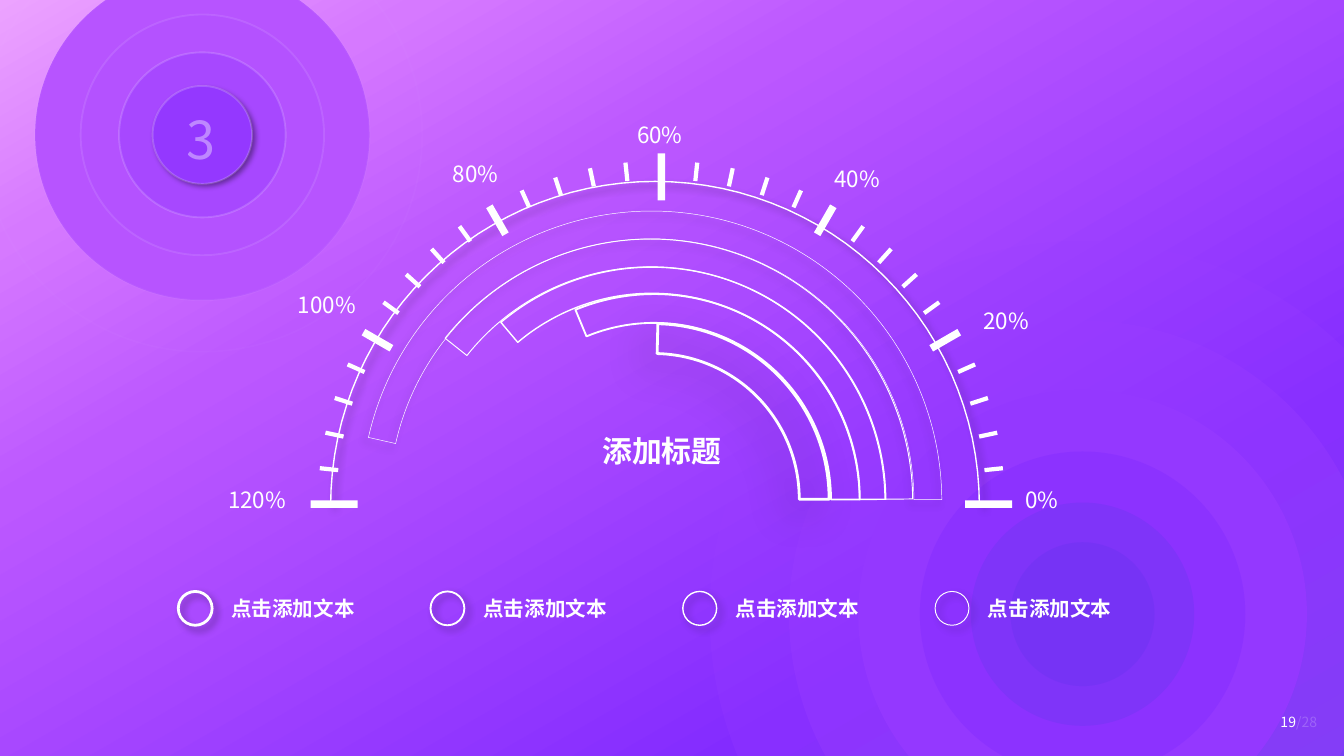
import math
from dataclasses import dataclass

import pptx
import pptx.dml.color
import pptx.enum.shapes
import pptx.enum.text
import pptx.oxml
import pptx.oxml.ns
import pptx.util
from lxml import etree

Cm = pptx.util.Cm
qn = pptx.oxml.ns.qn
PRESET = pptx.enum.shapes.MSO_SHAPE
ALIGN = pptx.enum.text.PP_ALIGN


@dataclass(frozen=True)
class Theme:
    font: str = "Noto Sans CJK SC"
    ink: str = "FFFFFF"
    shade: str = "000000"
    backdrop: tuple = ((0, "ECA3FF"), (16, "D679FF"), (33, "BC58FF"),
                       (77, "832BFF"), (100, "6D3FEF"))
    badge: tuple = ("B754FF", "B452FF", "A748FF", "9438FF")
    glow: tuple = (("9C3FFF", 20), ("993CFF", 40), ("9438FF", 100),
                   ("872EFF", 60), ("7736F6", 60), ("6933F1", 40))
    number_size: float = 28
    title_size: float = 16
    scale_size: float = 12
    legend_size: float = 11
    page_size: float = 7.5


THEME = Theme()
SOFT_SHADOW = (40, 4, 3, 45)  # opacity %, blur pt, distance pt, direction


@dataclass(frozen=True)
class Box:
    """A rectangle in centimetres."""
    left: float
    top: float
    width: float
    height: float

    def inner(self, x, y, width, height):
        return Box(self.left + x, self.top + y, width, height)

    def centred(self, width, height):
        return self.inner((self.width - width) / 2, (self.height - height) / 2, width, height)

    def lengths(self):
        return Cm(self.left), Cm(self.top), Cm(self.width), Cm(self.height)


def rgb(code):
    return pptx.dml.color.RGBColor.from_string(code)


def fade(element, opacity):
    """Make every colour inside the element partly transparent."""
    if opacity < 100:
        for colour in element.iter(qn("a:srgbClr")):
            etree.SubElement(colour, qn("a:alpha"), val=str(opacity * 1000))


def paint(shape, fill=None, fill_opacity=100, line=None, line_opacity=100, shadow=None):
    properties = shape.element.spPr
    shape.shadow.inherit = False
    if fill:
        shape.fill.solid()
        shape.fill.fore_color.rgb = rgb(fill)
        fade(properties.find(qn("a:solidFill")), fill_opacity)
    else:
        shape.fill.background()
    if line:
        shape.line.color.rgb = rgb(THEME.ink)
        shape.line.width = pptx.util.Pt(line)
        fade(properties.find(qn("a:ln")), line_opacity)
    else:
        shape.line.fill.background()
    if shadow:
        opacity, blur, distance, direction = shadow
        outer = etree.SubElement(
            properties.find(qn("a:effectLst")), qn("a:outerShdw"),
            blurRad=str(pptx.util.Pt(blur)), dist=str(pptx.util.Pt(distance)),
            dir=str(direction * 60000), algn="ctr", rotWithShape="0")
        fade_colour = etree.SubElement(outer, qn("a:srgbClr"), val=THEME.shade)
        fade(fade_colour, opacity)


def add_preset(slide, preset, box, **look):
    shape = slide.shapes.add_shape(preset, *box.lengths())
    paint(shape, **look)
    return shape


def add_run(paragraph, words, size, bold=False, opacity=100):
    run = paragraph.add_run()
    run.text = words
    run.font.size = pptx.util.Pt(size)
    run.font.bold = bold
    run.font.color.rgb = rgb(THEME.ink)
    run.font.name = THEME.font
    properties = run._r.get_or_add_rPr()
    fade(properties, opacity)
    etree.SubElement(properties, qn("a:ea"), typeface=THEME.font)


def add_label(slide, box, wrap=False):
    """Add an empty text box and return its paragraph."""
    frame = slide.shapes.add_textbox(*box.lengths()).text_frame
    frame.word_wrap = wrap
    frame.auto_size = pptx.enum.text.MSO_AUTO_SIZE.SHAPE_TO_FIT_TEXT
    return frame.paragraphs[0]


def backdrop(slide, box):
    wash = add_preset(slide, PRESET.RECTANGLE, box, fill=THEME.backdrop[0][1])
    wash.fill.gradient()
    gradient = wash.element.spPr.find(qn("a:gradFill"))
    for child in list(gradient):
        gradient.remove(child)
    stops = etree.SubElement(gradient, qn("a:gsLst"))
    for position, colour in THEME.backdrop:
        stop = etree.SubElement(stops, qn("a:gs"), pos=str(position * 1000))
        etree.SubElement(stop, qn("a:srgbClr"), val=colour)
    etree.SubElement(gradient, qn("a:lin"), ang=str(60 * 60000), scaled="0")


def section_badge(slide, box, number):
    sizes = ((6.32, 6.25), (4.6, 4.55), (3.15, 3.12), (1.88, 1.85))
    shadows = (None, None, None, (40, 3, 2, 45))
    for size, colour, opacity, shadow in zip(sizes, THEME.badge, (4, 9, 16, 18), shadows):
        add_preset(slide, PRESET.OVAL, box.centred(*size), fill=colour,
                   line=1, line_opacity=opacity, shadow=shadow)
    add_preset(slide, PRESET.OVAL, box, line=1, line_opacity=2)
    add_run(add_label(slide, box.inner(3.61, 3.46, 0.58, 1.47), wrap=True),
            number, THEME.number_size, opacity=40)


def corner_glow(slide, box):
    for size, (colour, opacity) in zip((14.1, 11.1, 8.48, 6.15, 4.22, 2.72), THEME.glow):
        add_preset(slide, PRESET.OVAL, box.centred(size, size),
                   fill=colour, fill_opacity=opacity)


def legend(slide, box, entries):
    pitch = box.width / len(entries)
    for index, (words, weight) in enumerate(entries):
        x = index * pitch
        add_preset(slide, PRESET.OVAL, box.inner(x, 0.03, 0.64, 0.64),
                   line=weight, shadow=SOFT_SHADOW)
        add_run(add_label(slide, box.inner(x + 0.75, 0, 2.87, 0.74)),
                words, THEME.legend_size, bold=True)


def polar(box, centre, radius, degrees, sideways=0):
    """Point at an angle from the right, shifted square to the radius."""
    turn = math.radians(degrees)
    x = centre[0] + radius * math.cos(turn) - sideways * math.sin(turn)
    y = centre[1] - radius * math.sin(turn) - sideways * math.cos(turn)
    return Cm(box.left + x), Cm(box.top + y)


def dial_scale(slide, box):
    rim = [polar(box, (8.38, 7.56), 6.13, degrees) for degrees in range(180, -1, -3)]
    builder = slide.shapes.build_freeform(*rim[0])
    builder.add_line_segments(rim[1:], close=False)
    paint(builder.convert_to_shape(), line=0.75, shadow=SOFT_SHADOW)

    builder = None
    for tick in range(31):
        if tick % 15 == 0:
            inner, outer, half = 5.74, 6.63, 0.07
        elif tick % 5 == 0:
            inner, outer, half = 5.89, 6.5, 0.07
        else:
            inner, outer, half = 6.14, 6.49, 0.04
        corners = [polar(box, (8.5, 7.53), radius, tick * 6, side) for radius, side in
                   ((inner, -half), (outer, -half), (outer, half), (inner, half))]
        if builder is None:
            builder = slide.shapes.build_freeform(*corners[0])
        else:
            builder.move_to(*corners[0])
        builder.add_line_segments(corners[1:], close=True)
    paint(builder.convert_to_shape(), fill=THEME.ink)

    for words, x, y, width in (
            ("20%", 14.34, 3.69, 1.5), ("40%", 11.52, 1, 1.5), ("60%", 7.79, 0.16, 1.5),
            ("80%", 4.31, 0.9, 1.5), ("100%", 1.38, 3.38, 1.68),
            ("120%", 0.06, 7.07, 1.68), ("0%", 15.13, 7.07, 1.22)):
        add_run(add_label(slide, box.inner(x, y, width, 0.76)), words, THEME.scale_size)


def dial_arcs(slide, box):
    for x, y, size, start, end, thickness, weight, shadow in (
            (2.83, 1.99, 10.97, 192.7, 359.68, 0.048, 0.25, (35, 4, 3, 135)),
            (5.04, 4.12, 6.63, 271.37, 0.07, 0.085, 1.5, (35, 20, 10, 135)),
            (3.34, 2.52, 9.91, 218.44, 359.51, 0.053, 0.5, None),
            (3.9, 3.05, 8.84, 229.8, 359.58, 0.056, 0.75, None),
            (4.48, 3.56, 7.77, 247.47, 359.97, 0.07, 1, None)):
        arc = add_preset(slide, PRESET.BLOCK_ARC, box.inner(x, y, size, size),
                         line=weight, shadow=shadow)
        for index, value in enumerate((start * 0.6, end * 0.6, thickness)):
            arc.adjustments[index] = value


def dial_title(slide, box, words):
    title = slide.shapes.title
    title.left, title.top, title.width, title.height = box.lengths()
    title.element.getparent().append(title.element)
    frame = title.text_frame
    frame.auto_size = pptx.enum.text.MSO_AUTO_SIZE.NONE
    frame.vertical_anchor = pptx.enum.text.MSO_ANCHOR.MIDDLE
    frame.paragraphs[0].alignment = ALIGN.CENTER
    add_run(frame.paragraphs[0], words, THEME.title_size, bold=True)


def page_number(slide, box, page, total):
    paragraph = add_label(slide, box, wrap=True)
    add_run(paragraph, page, THEME.page_size)
    add_run(paragraph, "/" + total, THEME.page_size, opacity=20)


def main():
    deck = pptx.Presentation()
    deck.slide_width, deck.slide_height = Cm(25.4), Cm(14.29)
    slide = deck.slides.add_slide(deck.slide_layouts[5])
    dial = Box(4, 2, 16.4, 8)
    backdrop(slide, Box(0, 0, 25.4, 14.29))
    section_badge(slide, Box(-0.33, -1.55, 8.31, 8.2), "3")
    corner_glow(slide, Box(13.41, 4.56, 14.1, 14.1))
    legend(slide, Box(3.37, 11.15, 19.07, 0.74),
           [("点击添加文本", weight) for weight in (1.5, 1, 0.75, 0.5)])
    dial_scale(slide, dial)
    dial_title(slide, dial.inner(6.77, 6.05, 3.48, 0.94), "添加标题")
    dial_arcs(slide, dial)
    page_number(slide, Box(23.95, 13.36, 1.37, 0.58), "19", "28")
    deck.save("out.pptx")


if __name__ == "__main__":
    main()
